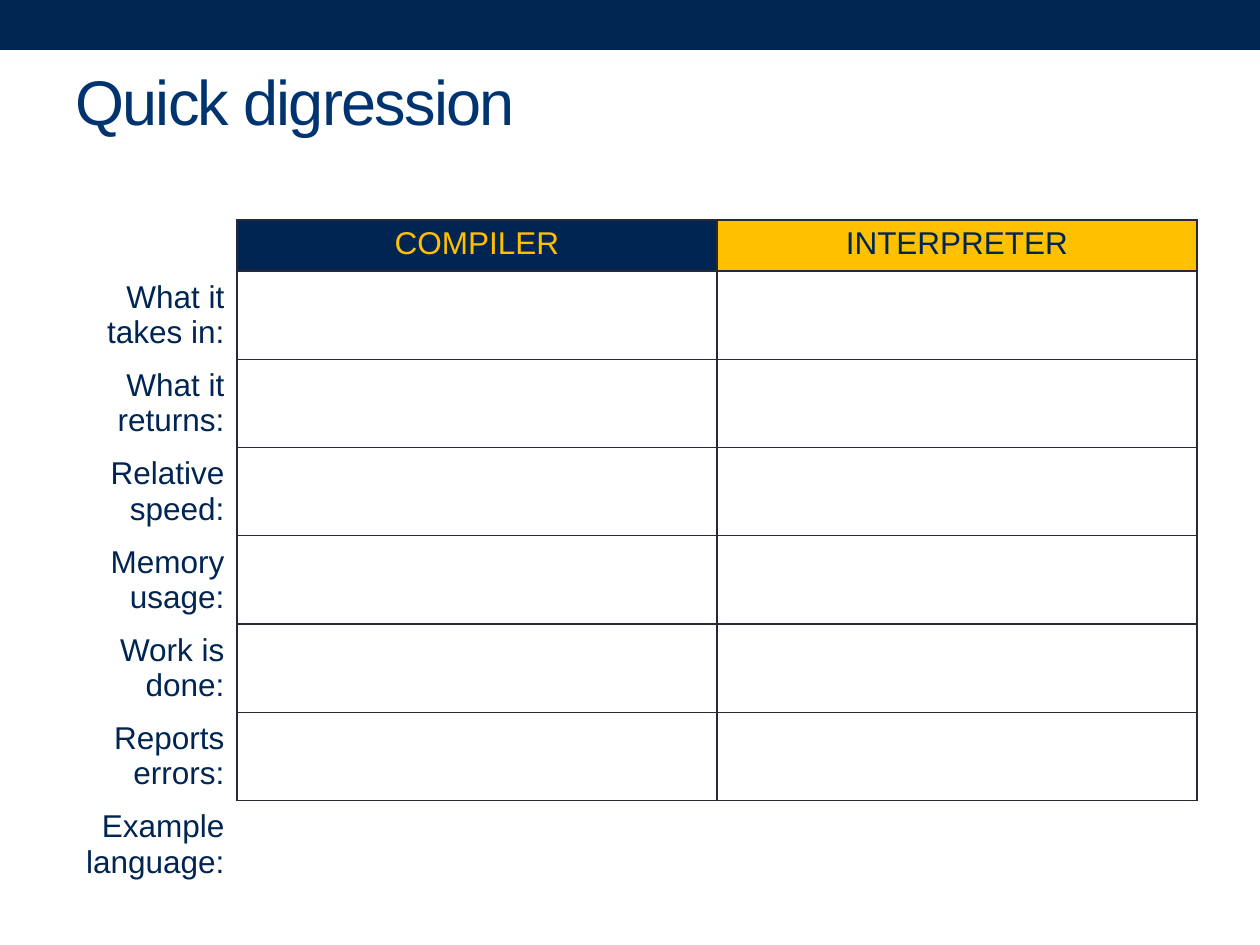
import pptx
import pptx.dml.color
import pptx.enum.shapes
import pptx.enum.text
import pptx.oxml.ns
import pptx.util
import lxml.etree

NAVY = pptx.dml.color.RGBColor(0x00, 0x25, 0x52)
BAR_NAVY = pptx.dml.color.RGBColor(0x00, 0x26, 0x52)
TITLE_BLUE = pptx.dml.color.RGBColor(0x00, 0x34, 0x70)
GOLD = pptx.dml.color.RGBColor(0xFF, 0xC0, 0x00)
GRID = pptx.dml.color.RGBColor(0x29, 0x29, 0x34)

ALIGN = pptx.enum.text.PP_ALIGN
MIDDLE = pptx.enum.text.MSO_ANCHOR.MIDDLE
HEADERS = [("COMPILER", GOLD, NAVY), ("INTERPRETER", NAVY, GOLD)]
LABELS = [
    "What it takes in:",
    "What it returns:",
    "Relative speed:",
    "Memory usage:",
    "Work is done:",
    "Reports errors:",
    "Example language:",
]


def px(length):
    return pptx.util.Emu(round(length * 914400 / 126))


def write(frame, text, size=18, color=NAVY, align=ALIGN.LEFT, spacing=None):
    paragraph = frame.paragraphs[0]
    paragraph.alignment = align
    run = paragraph.add_run()
    run.text = text
    run.font.name = "Arial"
    run.font.size = pptx.util.Pt(size)
    run.font.color.rgb = color
    if spacing is not None:
        run.font._element.set("spc", str(spacing * 100))


class SlideBuilder:
    """Draws styled elements on one slide, with lengths in px."""

    def __init__(self, presentation):
        self.slide = presentation.slides.add_slide(presentation.slide_layouts[6])

    def bar(self, left, top, width, height, color):
        shape = self.slide.shapes.add_shape(
            pptx.enum.shapes.MSO_SHAPE.RECTANGLE, px(left), px(top), px(width), px(height)
        )
        shape.shadow.inherit = False
        shape.fill.solid()
        shape.fill.fore_color.rgb = color
        shape.line.fill.background()

    def title(self, left, top, width, height, text):
        frame = self.slide.shapes.add_textbox(px(left), px(top), px(width), px(height)).text_frame
        frame.word_wrap = True
        frame.vertical_anchor = MIDDLE
        write(frame, text, size=36, color=TITLE_BLUE, spacing=-1)

    def table(self, left, top, widths, heights):
        table = self.slide.shapes.add_table(
            len(heights), len(widths), px(left), px(top), px(sum(widths)), px(sum(heights))
        ).table
        table.first_row = False
        table.horz_banding = False
        for column, width in zip(table.columns, widths):
            column.width = px(width)
        for row, height in zip(table.rows, heights):
            row.height = px(height)
        return table

    def borders(self, cell, visible):
        properties = cell._tc.get_or_add_tcPr()
        for side in "LRTB":
            line = lxml.etree.SubElement(properties, pptx.oxml.ns.qn(f"a:ln{side}"), w="12700")
            if side in visible:
                fill = lxml.etree.SubElement(line, pptx.oxml.ns.qn("a:solidFill"))
                lxml.etree.SubElement(fill, pptx.oxml.ns.qn("a:srgbClr"), val=str(GRID))
            else:
                lxml.etree.SubElement(line, pptx.oxml.ns.qn("a:noFill"))

    def cell(self, cell, visible, text="", fill=None, anchor=None, **text_format):
        self.borders(cell, visible)
        if fill is None:
            cell.fill.background()
        else:
            cell.fill.solid()
            cell.fill.fore_color.rgb = fill
        if anchor is not None:
            cell.vertical_anchor = anchor
        if text:
            write(cell.text_frame, text, **text_format)


def main():
    presentation = pptx.Presentation()
    presentation.slide_width = px(1260)
    presentation.slide_height = px(945)
    builder = SlideBuilder(presentation)
    builder.bar(0, 0, 1260, 50, BAR_NAVY)
    builder.title(63, 32, 1134, 136, "Quick digression")

    table = builder.table(63, 220, [174, 480, 480], [51] + [83] * len(LABELS))
    builder.cell(table.cell(0, 0), "R")
    for column, (text, color, fill) in enumerate(HEADERS, start=1):
        builder.cell(table.cell(0, column), "LRTB", text, fill, color=color, align=ALIGN.CENTER)
    for row, label in enumerate(LABELS, start=1):
        last = row == len(LABELS)
        builder.cell(
            table.cell(row, 0), "" if last else "R", label, anchor=MIDDLE, align=ALIGN.RIGHT
        )
        for column in (1, 2):
            builder.cell(table.cell(row, column), "T" if last else "LRTB")

    presentation.save("out.pptx")


if __name__ == "__main__":
    main()
